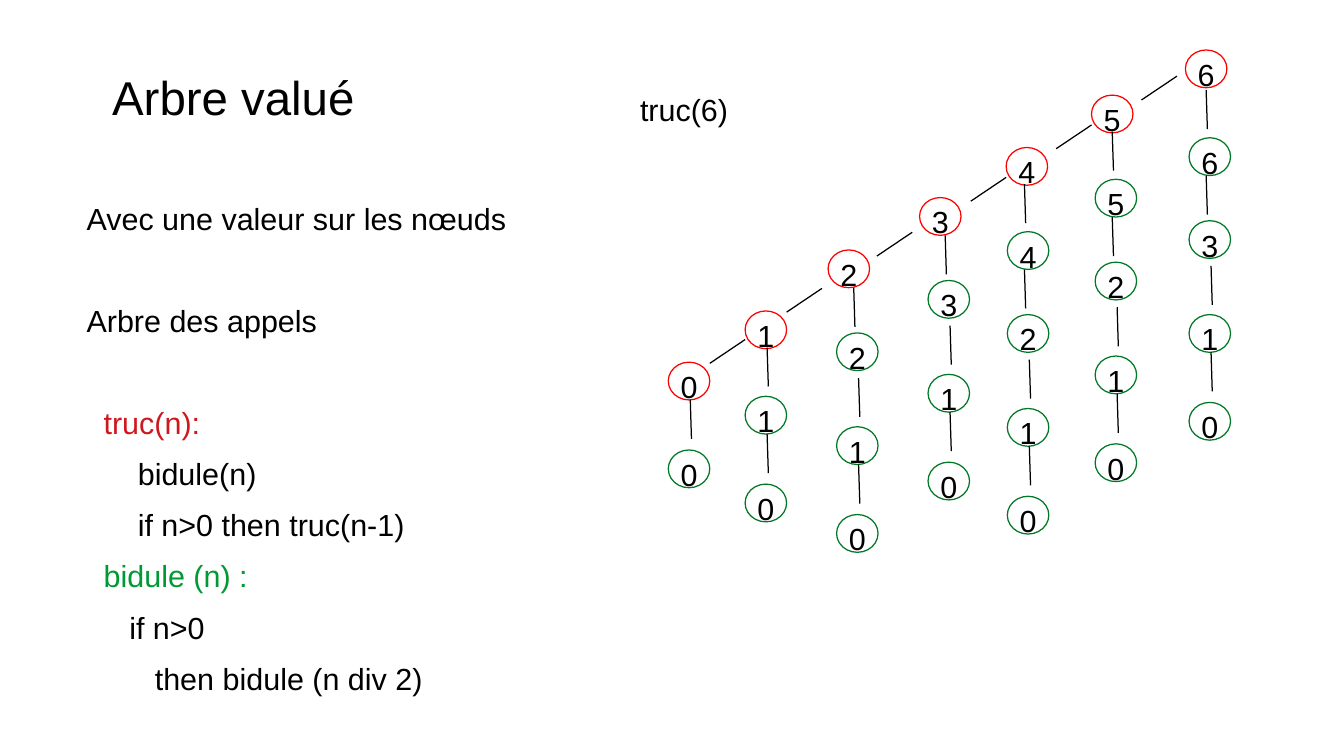
from pptx import Presentation
from pptx.dml.color import RGBColor
from pptx.enum.shapes import MSO_CONNECTOR, MSO_SHAPE
from pptx.enum.text import MSO_ANCHOR, MSO_AUTO_SIZE, PP_ALIGN
from pptx.oxml.xmlchemy import OxmlElement
from pptx.util import Inches, Pt

ELLIPSE, STRAIGHT = MSO_SHAPE.OVAL, MSO_CONNECTOR.STRAIGHT
TOP, NO_FIT = MSO_ANCHOR.TOP, MSO_AUTO_SIZE.NONE
LEFT, CENTER = PP_ALIGN.LEFT, PP_ALIGN.CENTER

COLUMNS, ROWS = 1102, 620
CELL = Inches(0.01)
BLACK, WHITE = "000000", "FFFFFF"
CALL_RED, CHAIN_GREEN = "FF0000", "007826"
NODE_SIZE = (34, 31)
SPACE_WIDTH = 7

# n: (call node, top of its bidule chain, start of the branch to n + 1)
CALLS = {
    0: ((548, 297), (548, 369), (582, 298)),
    1: ((611, 255), (611, 325), (645, 256)),
    2: ((679, 205), (686, 273), (719, 210)),
    3: ((754, 162), (761, 230), (796, 165)),
    4: ((825, 121), (826, 190), (866, 122)),
    5: ((895, 78), (898, 147), (936, 82)),
    6: ((972, 41), (975, 113), None),
}
STEPS = {0: 72, 1: 77}
LINK_GAPS = {0: 9, 1: 8, 2: 5, 3: 5}

LINES = [
    ("Avec une valeur sur les nœuds", 0, BLACK, False),
    ("Arbre des appels", 0, BLACK, True),
    ("truc(n):", 2, "CE181E", True),
    ("bidule(n)", 6, BLACK, False),
    ("if n>0 then truc(n-1)", 6, BLACK, False),
    ("bidule (n) :", 2, "009933", False),
    ("if n>0", 5, BLACK, False),
    ("then bidule (n div 2)", 8, BLACK, False),
]


def color(code):
    """Turn a hex string into a colour."""
    return RGBColor.from_string(code)


def cells(*counts):
    """Convert grid cells to lengths."""
    return [round(count * CELL) for count in counts]


def write(paragraph, text, size=18, ink=BLACK, align=LEFT, spacing=0.93, before=0, indent=0):
    """Write formatted text, without a bullet, into a paragraph."""
    properties = paragraph._p.get_or_add_pPr()
    properties.set("marL", str(cells(indent)[0]))
    properties.set("indent", "0")
    properties.append(OxmlElement("a:buNone"))
    paragraph.alignment, paragraph.line_spacing = align, spacing
    paragraph.space_before, paragraph.space_after = Pt(before), Pt(0)
    run = paragraph.add_run()
    run.text = text
    run.font.name, run.font.size = "Arial", Pt(size)
    run.font.color.rgb = color(ink)


def frame_of(shape, insets, wrap=True):
    """Prepare a top-anchored text frame with left, top, right, bottom insets."""
    frame = shape.text_frame
    frame.word_wrap, frame.auto_size, frame.vertical_anchor = wrap, NO_FIT, TOP
    (frame.margin_left, frame.margin_top,
     frame.margin_right, frame.margin_bottom) = cells(*insets)
    return frame


def place(shape, *box):
    """Move a placeholder to a box on the grid."""
    shape.left, shape.top, shape.width, shape.height = cells(*box)


def add_node(slide, value, corner, outline):
    """Draw a tree node holding its value."""
    node = slide.shapes.add_shape(ELLIPSE, *cells(*corner, *NODE_SIZE))
    node.shadow.inherit = False
    node.fill.solid()
    node.fill.fore_color.rgb = color(WHITE)
    node.line.color.rgb, node.line.width = color(outline), Pt(0.75)
    frame = frame_of(node, (0, 3, 0, 0), wrap=False)
    write(frame.paragraphs[0], str(value), align=CENTER)


def add_link(slide, start, reach):
    """Draw a line from a start point over a given reach."""
    end = [origin + step for origin, step in zip(start, reach)]
    link = slide.shapes.add_connector(STRAIGHT, *cells(*start, *end))
    link.line.color.rgb, link.line.width = color(BLACK), Pt(0.75)
    link._element.spPr.append(OxmlElement("a:effectLst"))


def add_chain(slide, value, left, top):
    """Draw the bidule calls, halving the value down to zero."""
    while True:
        link_left = left + (18 if value < 2 else 14)
        add_link(slide, (link_left, top - LINK_GAPS.get(value, 7) - 32), (1, 32))
        add_node(slide, value, (left, top), CHAIN_GREEN)
        if value == 0:
            return
        value //= 2
        top += STEPS.get(value, 68)


def add_tree(slide):
    """Draw every truc call with its branch and its chain."""
    for value, (corner, chain_top, branch) in CALLS.items():
        add_node(slide, value, corner, CALL_RED)
        add_chain(slide, value, *chain_top)
        if branch:
            add_link(slide, branch, (29, -19.5))


def add_explanation(slide):
    """Fill the title and the body with the definition of the calls."""
    title, body = slide.placeholders
    place(title, 61, 52, 426, 60)
    write(frame_of(title, (10, 8, 10, 5)).paragraphs[0], "Arbre valué", size=28, indent=21)
    place(body, 61, 144, 426, 465)
    frame = frame_of(body, (10, 8, 10, 5))
    for index, (text, spaces, ink, after_gap) in enumerate(LINES):
        paragraph = frame.add_paragraph() if index else frame.paragraphs[0]
        write(paragraph, text, ink=ink, spacing=1.4,
              before=30 if after_gap else 0, indent=spaces * SPACE_WIDTH)


def main():
    """Build the slide and save it."""
    deck = Presentation()
    deck.slide_width, deck.slide_height = cells(COLUMNS, ROWS)
    slide = deck.slides.add_slide(deck.slide_layouts[1])
    add_explanation(slide)
    label = slide.shapes.add_textbox(*cells(515, 70, 270, 38))
    write(frame_of(label, (10, 7, 10, 5)).paragraphs[0], "truc(6)")
    add_tree(slide)
    deck.save("out.pptx")


if __name__ == "__main__":
    main()
